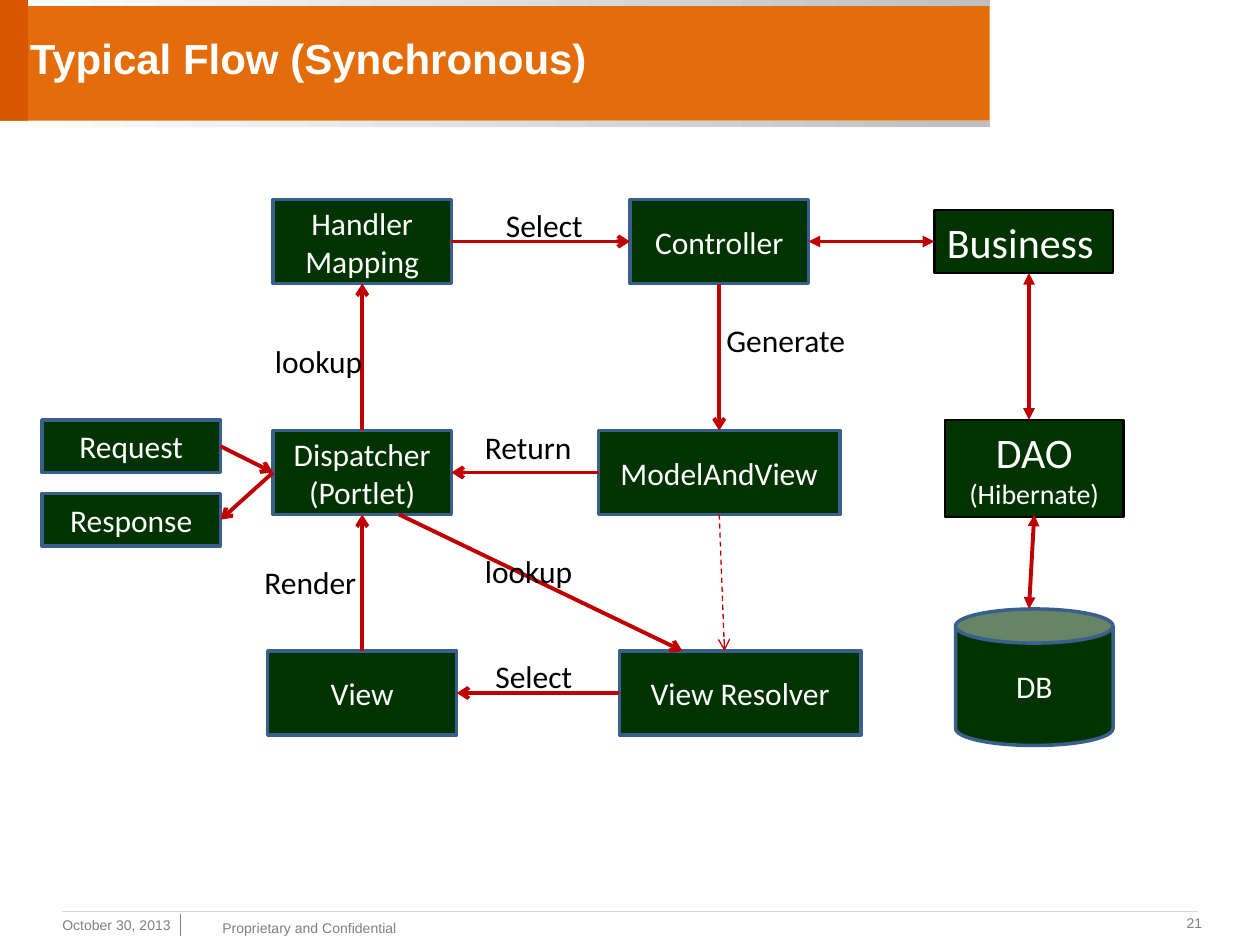
from dataclasses import dataclass
from typing import Optional, Union

from lxml.etree import SubElement
from pptx import Presentation
from pptx.dml.color import RGBColor
from pptx.enum.dml import MSO_LINE
from pptx.enum.shapes import MSO_CONNECTOR, MSO_SHAPE as Preset
from pptx.enum.text import MSO_ANCHOR as Anchor, PP_ALIGN as Align
from pptx.oxml.ns import qn
from pptx.util import Pt

GREEN, BLUE, RED = "003300", "3A5F8C", "C00000"
WHITE, BLACK, GREY = "FFFFFF", "000000", "808080"
TOP, LEFT, BOTTOM, RIGHT = range(4)


@dataclass(frozen=True)
class Node:
    name: str
    left: float
    top: float
    width: float
    height: float
    lines: tuple[tuple[str, float], ...]
    border: str = BLUE
    border_width: float = 2
    anchor: Anchor = Anchor.MIDDLE
    align: Align = Align.CENTER
    preset: Preset = Preset.RECTANGLE


@dataclass(frozen=True)
class Label:
    text: str
    left: float
    top: float
    width: float
    height: float = 28.8
    size: float = 18
    colour: str = BLACK
    font: str = "Calibri"
    bold: bool = False
    wrap: bool = True
    align: Align = Align.LEFT
    anchor: Anchor = Anchor.TOP


@dataclass(frozen=True)
class Joint:
    node: str
    side: int


@dataclass(frozen=True)
class Point:
    x: float
    y: float


@dataclass(frozen=True)
class Flow:
    start: Union[Joint, Point]
    end: Union[Joint, Point]
    head: Optional[str] = None
    tail: Optional[str] = "arrow"
    width: float = 2.25
    dashed: bool = False
    colour: str = RED


def rgb(colour: str) -> RGBColor:
    return RGBColor.from_string(colour)


def write(frame, lines, colour, font, align, anchor, bold=False) -> None:
    frame.vertical_anchor = anchor
    for i, (text, size) in enumerate(lines):
        paragraph = frame.add_paragraph() if i else frame.paragraphs[0]
        paragraph.alignment = align
        run = paragraph.add_run()
        run.text = text
        run.font.name, run.font.size, run.font.bold = font, Pt(size), bold
        run.font.color.rgb = rgb(colour)


def draw_bar(slide, left, top, width, height, *colours: str) -> None:
    bar = slide.shapes.add_shape(Preset.RECTANGLE, Pt(left), Pt(top), Pt(width), Pt(height))
    bar.shadow.inherit = False
    bar.line.fill.background()
    if len(colours) == 1:
        bar.fill.solid()
        bar.fill.fore_color.rgb = rgb(colours[0])
    else:
        bar.fill.gradient()
        bar.fill.gradient_angle = 0
        for stop, colour in zip(bar.fill.gradient_stops, colours):
            stop.color.rgb = rgb(colour)


def draw_node(slide, node: Node):
    box = slide.shapes.add_shape(
        node.preset, Pt(node.left), Pt(node.top), Pt(node.width), Pt(node.height))
    box.shadow.inherit = False
    box.fill.solid()
    box.fill.fore_color.rgb = rgb(GREEN)
    box.line.color.rgb = rgb(node.border)
    box.line.width = Pt(node.border_width)
    box.text_frame.word_wrap = True
    write(box.text_frame, node.lines, WHITE, "Calibri", node.align, node.anchor)
    return box


def draw_label(slide, label: Label) -> None:
    box = slide.shapes.add_textbox(
        Pt(label.left), Pt(label.top), Pt(label.width), Pt(label.height))
    box.text_frame.word_wrap = label.wrap
    write(box.text_frame, [(label.text, label.size)], label.colour, label.font,
          label.align, label.anchor, label.bold)


def draw_flow(slide, flow: Flow, boxes: dict) -> None:
    start, end = (p if isinstance(p, Point) else Point(0, 0) for p in (flow.start, flow.end))
    line = slide.shapes.add_connector(
        MSO_CONNECTOR.STRAIGHT, Pt(start.x), Pt(start.y), Pt(end.x), Pt(end.y))
    for joint, connect in ((flow.start, line.begin_connect), (flow.end, line.end_connect)):
        if isinstance(joint, Joint):
            connect(boxes[joint.node], joint.side)
    line.line.color.rgb = rgb(flow.colour)
    line.line.width = Pt(flow.width)
    if flow.dashed:
        line.line.dash_style = MSO_LINE.DASH
    for tag, kind in (("a:headEnd", flow.head), ("a:tailEnd", flow.tail)):
        if kind:
            SubElement(line.line._get_or_add_ln(), qn(tag), type=kind)
    SubElement(line._element.spPr, qn("a:effectLst"))


def step(name: str, left: float, top: float, width: float = 102, height: float = 48,
         *lines: str) -> Node:
    return Node(name, left, top, width, height, tuple((t, 18) for t in lines or (name,)))


NODES = [
    Node("Business", 534, 120, 102, 36, (("Business", 24),), BLACK, 1.5, Anchor.TOP, Align.LEFT),
    Node("DAO", 540, 240, 102, 55.5, (("DAO", 24), ("(Hibernate)", 16)), BLACK, 1.5, Anchor.TOP),
    Node("DB", 546, 348, 90, 78, (("DB", 18),), preset=Preset.CAN),
    step("Request", 24, 240, height=30),
    step("Response", 24, 282, height=30),
    step("Handler Mapping", 156, 114),
    step("Controller", 360, 114),
    step("Dispatcher", 156, 246, 102, 48, "Dispatcher", "(Portlet)"),
    step("ModelAndView", 342, 246, 138),
    step("View", 153, 372, 108),
    step("View Resolver", 354, 372, 138),
]

FLOWS = [
    Flow(Joint("Request", RIGHT), Joint("Dispatcher", LEFT)),
    Flow(Joint("Dispatcher", LEFT), Joint("Response", RIGHT)),
    Flow(Joint("Dispatcher", TOP), Joint("Handler Mapping", BOTTOM)),
    Flow(Joint("Handler Mapping", RIGHT), Joint("Controller", LEFT)),
    Flow(Joint("Controller", BOTTOM), Joint("ModelAndView", TOP)),
    Flow(Joint("ModelAndView", LEFT), Joint("Dispatcher", RIGHT)),
    Flow(Point(228, 294), Point(390, 372)),
    Flow(Joint("ModelAndView", BOTTOM), Point(414, 372), width=0.75, dashed=True),
    Flow(Joint("View Resolver", LEFT), Joint("View", RIGHT)),
    Flow(Joint("View", TOP), Joint("Dispatcher", BOTTOM)),
    Flow(Joint("Controller", RIGHT), Joint("Business", LEFT), "triangle", "triangle"),
    Flow(Point(588, 156), Point(588, 240), "triangle", "triangle"),
    Flow(Point(591, 294), Point(588, 348), "triangle", "triangle"),
]

FLOW_LABELS = [
    Label("lookup", 270, 312, 66),
    Label("Render", 144, 318, 72),
    Label("lookup", 150, 192, 66),
    Label("Select", 282, 114, 66),
    Label("Generate", 408, 180, 96),
    Label("Return", 270, 241, 66),
    Label("Select", 276, 372, 66),
]

FOOTER = [
    Label("21", 670.5, 519, 24, 17, 8, GREY, "Arial", wrap=False, align=Align.CENTER),
    Label("Proprietary and Confidential", 120, 522, 117, 17, 8, GREY, "Arial", wrap=False),
    Label("October 30, 2013", 28.5, 520, 96, 18, 8, GREY, "Arial"),
]

FOOTER_RULES = [
    Flow(Point(103, 522.5), Point(103, 535), tail=None, width=0.75, colour=GREY),
    Flow(Point(35.5, 521), Point(684.5, 521), tail=None, width=0.25, colour="D9D9D9"),
]


def main() -> None:
    deck = Presentation()
    deck.slide_width, deck.slide_height = Pt(720), Pt(540)
    slide = deck.slides.add_slide(deck.slide_layouts[6])

    # Title banner
    draw_bar(slide, 0, 0, 565.5, 69, "E46C0A")
    for top in (0, 69):
        draw_bar(slide, 0, top, 565.5, 3.75, WHITE, "BFBFBF")
    draw_bar(slide, 0, 0, 16, 69, "D65700")
    draw_label(slide, Label("Typical Flow (Synchronous)", 10, 5, 554, 56, 24, WHITE,
                            "Arial", bold=True, anchor=Anchor.MIDDLE))

    # Flow diagram
    boxes = {node.name: draw_node(slide, node) for node in NODES}
    for flow in FLOWS + FOOTER_RULES:
        draw_flow(slide, flow, boxes)

    # Flow labels and footer
    for label in FLOW_LABELS + FOOTER:
        draw_label(slide, label)

    deck.save("out.pptx")


if __name__ == "__main__":
    main()
